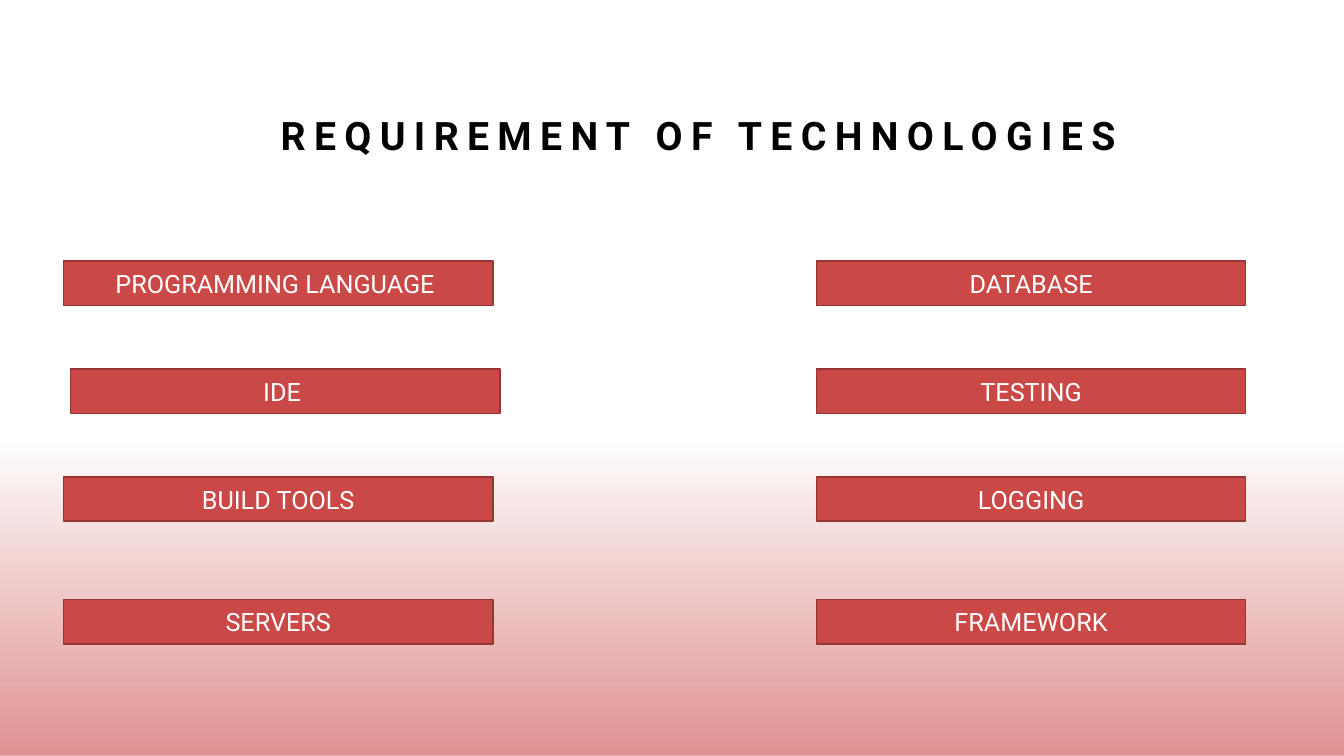
"""Build the slide listing the technologies a project requires."""
from dataclasses import dataclass

from lxml import etree
from pptx import Presentation
from pptx.dml.color import RGBColor as RGB
from pptx.enum.shapes import MSO_SHAPE as SHAPE
from pptx.enum.text import MSO_ANCHOR as ANCHOR, MSO_AUTO_SIZE as AUTOSIZE, PP_ALIGN as ALIGN
from pptx.oxml.ns import qn
from pptx.util import Pt


@dataclass(frozen=True)
class Theme:
    """Colours, font and type sizes of the slide."""
    font: str = "Roboto"
    ink: RGB = RGB(0x00, 0x00, 0x00)
    paper: RGB = RGB(0xFF, 0xFF, 0xFF)
    red: RGB = RGB(0xCA, 0x48, 0x46)
    edge: RGB = RGB(0x95, 0x35, 0x34)
    glow: RGB = RGB(0xDF, 0x91, 0x90)
    title_size: int = 28
    label_size: int = 18


THEME = Theme()
SLIDE_W, SLIDE_H = 960, 540
BAR_W, BAR_H = 306.7, 31.7
ROW_TOPS = (186.5, 263.5, 340.6, 428.4)
COLUMNS = (
    (45.4, ("PROGRAMMING LANGUAGE ", "IDE ", "BUILD TOOLS", "SERVERS")),
    (583.2, ("DATABASE", "TESTING", "LOGGING", "FRAMEWORK")),
)
INDENTS = {"IDE ": 5}


def write(tf, text, *, size, color, bold=False, spacing=0, leading=1.0, anchor=ANCHOR.MIDDLE):
    """Put one centred, formatted paragraph in a text frame."""
    tf.word_wrap, tf.auto_size, tf.vertical_anchor = True, AUTOSIZE.NONE, anchor
    p = tf.paragraphs[0]
    p.alignment, p.line_spacing = ALIGN.CENTER, leading
    r = p.add_run()
    r.text = text
    r.font.name, r.font.size, r.font.bold = THEME.font, Pt(size), bold
    r.font.color.rgb = color
    if spacing:
        r.font._element.set("spc", str(spacing * 100))


def add_rect(s, left, top, width, height):
    """Add a rectangle without a shadow."""
    sp = s.shapes.add_shape(SHAPE.RECTANGLE, Pt(left), Pt(top), Pt(width), Pt(height))
    sp.shadow.inherit = False
    return sp


def add_glow(s, top):
    """Add the red fade that rises from the bottom edge."""
    sp = add_rect(s, 0, top, SLIDE_W, SLIDE_H - top)
    sp.line.fill.background()
    sp.fill.gradient()
    sp.fill.gradient_angle = 270
    for stop, position in zip(sp.fill.gradient_stops, (0.14, 1)):
        stop.position, stop.color.rgb = position, THEME.glow
    clear = next(sp._element.iter(qn("a:srgbClr")))
    etree.SubElement(clear, qn("a:alpha")).set("val", "0")
    s.shapes.title._element.addprevious(sp._element)


def set_title(s, text):
    """Place and format the title."""
    sp = s.shapes.title
    sp.left, sp.top, sp.width, sp.height = Pt(45.4), Pt(57.6), Pt(868.3), Pt(59)
    sp.text_frame.margin_left = Pt(46)
    write(sp.text_frame, text, size=THEME.title_size, color=THEME.ink, bold=True,
          spacing=6, leading=1.2, anchor=ANCHOR.BOTTOM)


def add_bar(s, left, top, text):
    """Add one labelled red bar."""
    sp = add_rect(s, left, top, BAR_W, BAR_H)
    sp.fill.solid()
    sp.fill.fore_color.rgb = THEME.red
    sp.line.color.rgb, sp.line.width = THEME.edge, Pt(1)
    write(sp.text_frame, text, size=THEME.label_size, color=THEME.paper)


def main():
    """Build and save the slide."""
    prs = Presentation()
    prs.slide_width, prs.slide_height = Pt(SLIDE_W), Pt(SLIDE_H)
    s = prs.slides.add_slide(prs.slide_layouts[5])
    add_glow(s, 276.5)
    set_title(s, "REQUIREMENT OF TECHNOLOGIES")
    for left, labels in COLUMNS:
        for top, label in zip(ROW_TOPS, labels):
            add_bar(s, left + INDENTS.get(label, 0), top, label)
    prs.save("out.pptx")


if __name__ == "__main__":
    main()
